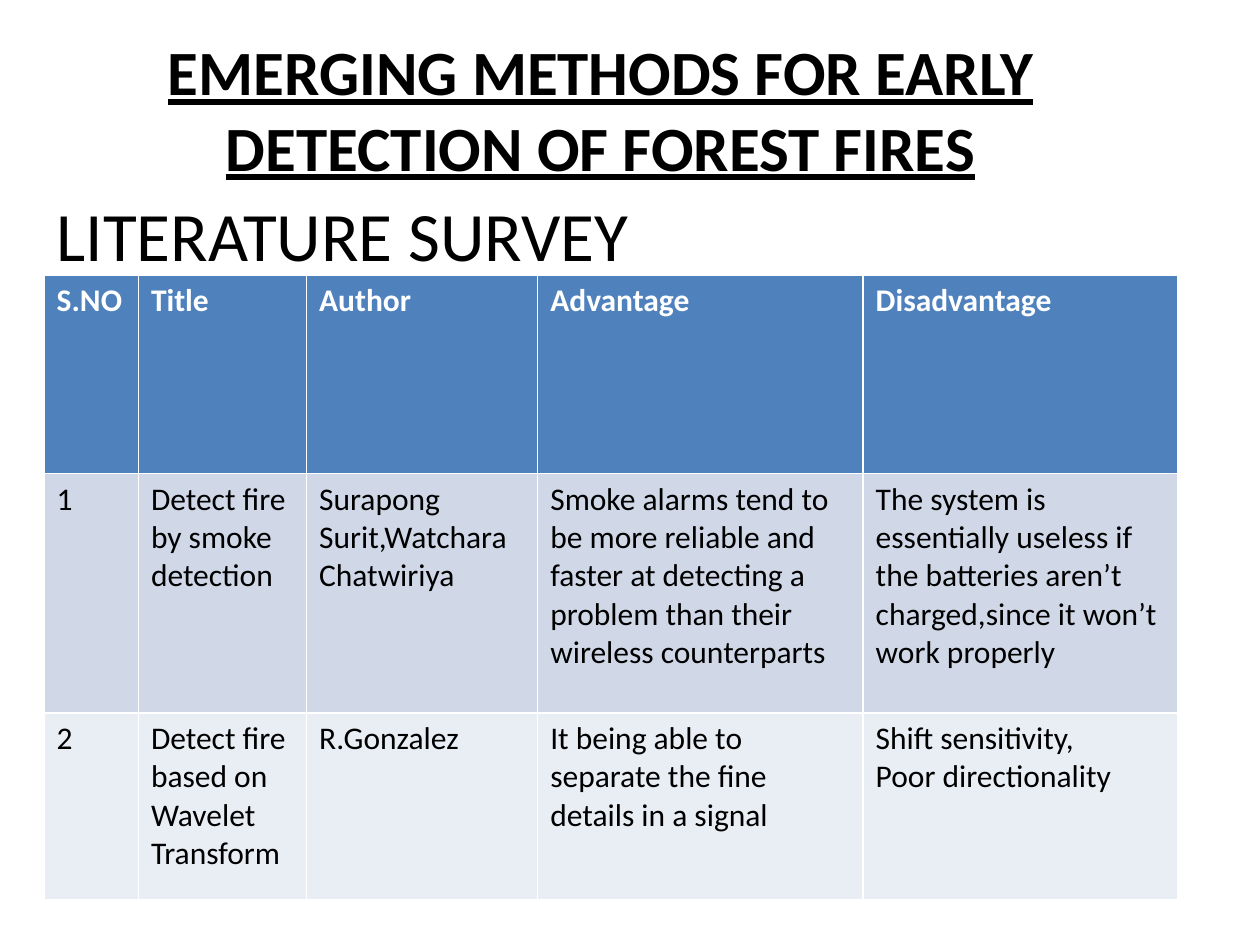
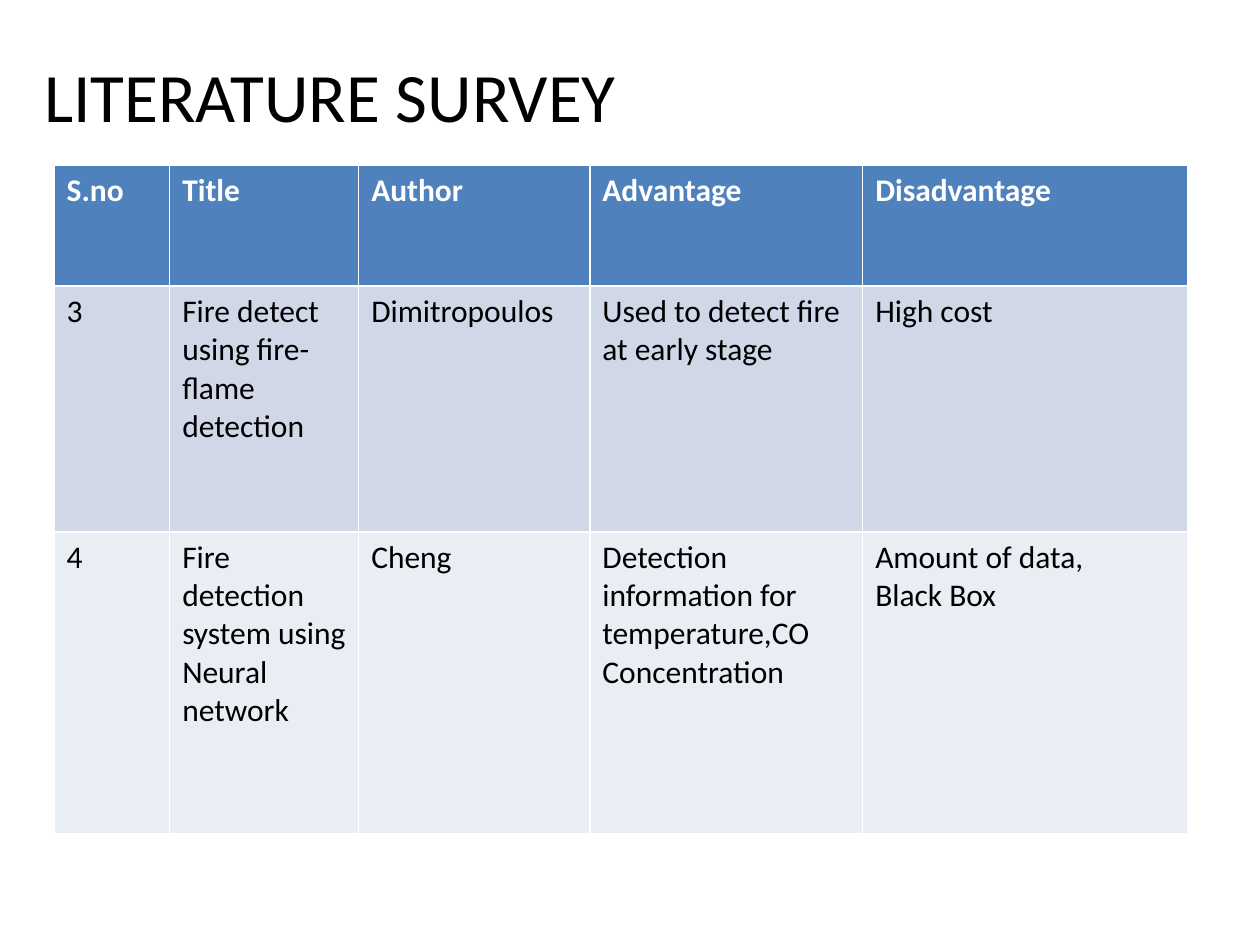
"""Build the two literature survey slides on early detection of forest fires."""
import pptx
import pptx.dml.color
import pptx.enum.text
import pptx.util

Cm = pptx.util.Cm
Pt = pptx.util.Pt
RGBColor = pptx.dml.color.RGBColor
PP_ALIGN = pptx.enum.text.PP_ALIGN

BLACK = RGBColor(0x00, 0x00, 0x00)
WHITE = RGBColor(0xFF, 0xFF, 0xFF)
HEADER_BLUE = RGBColor(0x4F, 0x81, 0xBD)
ROW_FILLS = [HEADER_BLUE, RGBColor(0xD0, 0xD8, 0xE8), RGBColor(0xE9, 0xED, 0xF4)]
FONT = "Calibri"
CONTENT_WIDTH = 22.86
COLUMN_NAMES = ["Title", "Author", "Advantage", "Disadvantage"]

SURVEYS = [
    {
        "title_at": (0.89, 3.86),
        "table_at": (0.89, 5.54),
        "widths": [1.9, 3.39, 4.66, 6.56, 6.35],
        "heights": [4.01, 4.82, 3.76],
        "rows": [
            ["S.NO", *COLUMN_NAMES],
            ["1", "Detect fire by smoke detection",
             "Surapong Surit,Watchara Chatwiriya",
             "Smoke alarms tend to be more reliable and faster at detecting "
             "a problem than their wireless counterparts",
             "The system is essentially useless if the batteries aren’t "
             "charged,since it won’t work properly"],
            ["2", "Detect fire based on Wavelet Transform", "R.Gonzalez",
             "It being able to separate the fine details in a signal",
             "Shift sensitivity,\nPoor directionality"],
        ],
    },
    {
        "title_at": (0.64, 1.07),
        "table_at": (1.09, 3.33),
        "widths": [2.33, 3.81, 4.66, 5.5, 6.56],
        "heights": [2.44, 4.95, 6.08],
        "rows": [
            ["S.no", *COLUMN_NAMES],
            ["3", "Fire detect using fire-flame detection", "Dimitropoulos",
             "Used to detect fire at early stage", "High cost"],
            ["4", "Fire detection system using Neural network", "Cheng",
             "Detection information for temperature,CO Concentration",
             "Amount of data,\nBlack Box"],
        ],
    },
]


def style_text(frame, size, color, bold=False, underline=False, align=PP_ALIGN.LEFT):
    for paragraph in frame.paragraphs:
        paragraph.alignment = align
        paragraph.font.name = FONT
        paragraph.font.size = Pt(size)
        paragraph.font.color.rgb = color
        paragraph.font.bold = bold
        paragraph.font.underline = underline


deck = pptx.Presentation()
deck.slide_width = Cm(25.4)
deck.slide_height = Cm(19.05)

for survey in SURVEYS:
    slide = deck.slides.add_slide(deck.slide_layouts.get_by_name("Title Only"))
    survey_title = slide.shapes.title
    survey_title.left, survey_title.top = map(Cm, survey["title_at"])
    survey_title.width, survey_title.height = Cm(CONTENT_WIDTH), Cm(1.69)
    survey_title.text_frame.text = "LITERATURE SURVEY"
    style_text(survey_title.text_frame, 39.6, BLACK)

    papers = slide.shapes.add_table(
        len(survey["rows"]), len(survey["widths"]), *map(Cm, survey["table_at"]),
        Cm(CONTENT_WIDTH), Cm(sum(survey["heights"]))).table
    for column, width in zip(papers.columns, survey["widths"]):
        column.width = Cm(width)
    for row, height, texts, fill in zip(
            papers.rows, survey["heights"], survey["rows"], ROW_FILLS):
        row.height = Cm(height)
        is_header = fill == HEADER_BLUE
        for cell, text in zip(row.cells, texts):
            cell.text = text
            cell.fill.solid()
            cell.fill.fore_color.rgb = fill
            style_text(cell.text_frame, 18, WHITE if is_header else BLACK, bold=is_header)

project_name = deck.slides[0].shapes.add_textbox(
    Cm(2.31), Cm(0.53), Cm(19.6), Cm(3.33)).text_frame
project_name.word_wrap = True
project_name.text = "EMERGING METHODS FOR EARLY DETECTION OF FOREST FIRES"
style_text(project_name, 36, BLACK, bold=True, underline=True, align=PP_ALIGN.CENTER)

deck.save("out.pptx")
